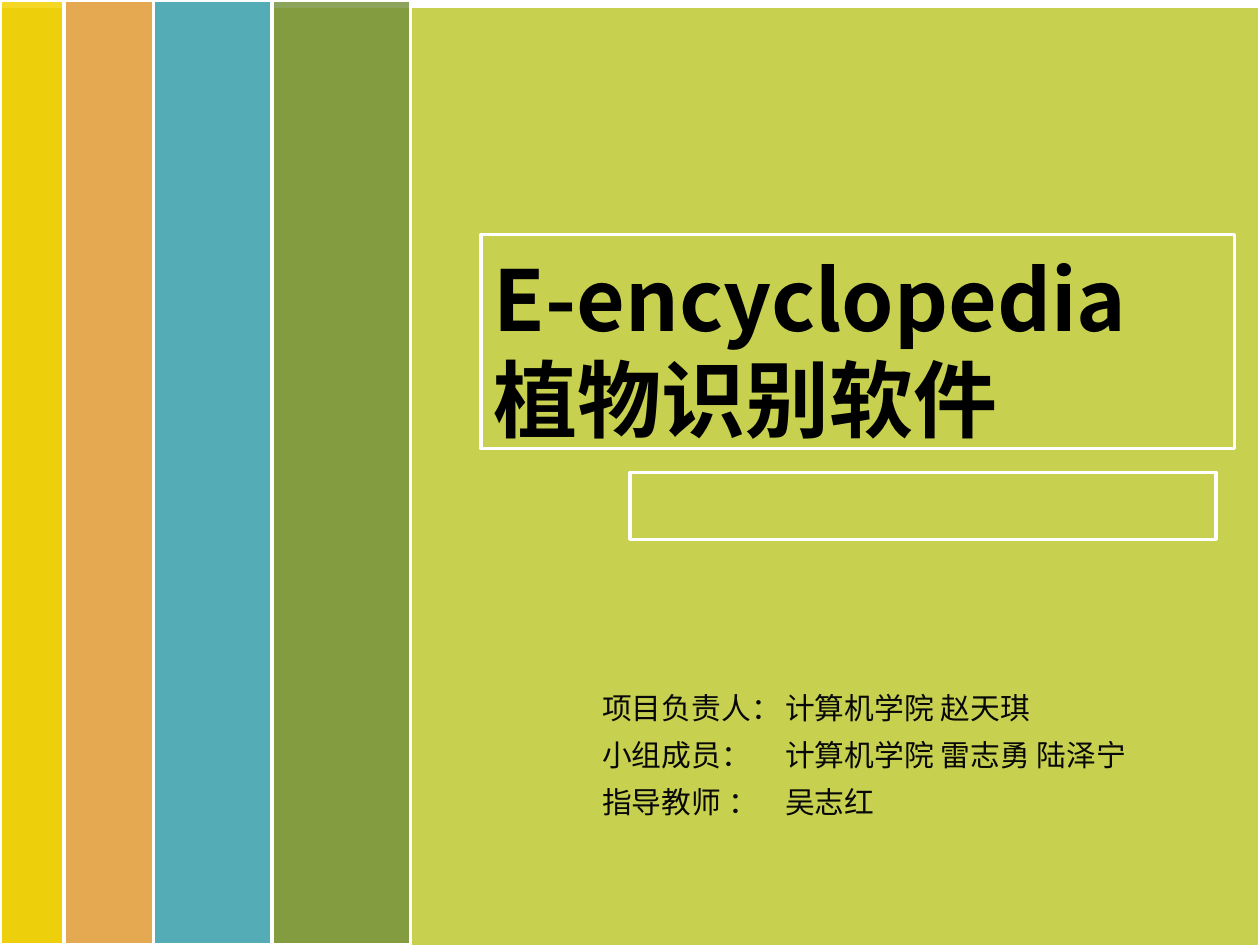
"""Build the cover slide of a plant recognition software project."""

from lxml.etree import SubElement
from pptx import Presentation
from pptx.dml.color import RGBColor
from pptx.enum.shapes import MSO_SHAPE
from pptx.enum.text import MSO_ANCHOR, MSO_AUTO_SIZE, PP_ALIGN
from pptx.oxml.ns import qn
from pptx.util import Pt

WHITE = RGBColor(0xFF, 0xFF, 0xFF)
BLACK = RGBColor(0x00, 0x00, 0x00)
INK = RGBColor(0x08, 0x08, 0x08)
LIME = RGBColor(0xC1, 0xCC, 0x3A)
YELLOW = RGBColor(0xF4, 0xD0, 0x00)
ORANGE = RGBColor(0xE5, 0xA9, 0x51)
TEAL = RGBColor(0x54, 0xAD, 0xB6)
OLIVE = RGBColor(0x77, 0x93, 0x3C)

SLIDE_WIDTH, SLIDE_HEIGHT = 720, 540
STRIPES = [(36.72, YELLOW, 85), (51.12, ORANGE, 100), (67.68, TEAL, 100), (79.2, OLIVE, 84)]
CREDITS = [
    ("项目负责人：", "计算机学院 赵天琪"),
    ("小组成员：", "计算机学院 雷志勇 陆泽宁"),
    ("指导教师 ：", "吴志红"),
]


def outline(element):
    """Give an element the white border shared by the whole slide."""
    element.line.color.rgb = WHITE
    element.line.width = Pt(2)


def add_panel(slide, left, top, width, height, color=None, opacity=100):
    """Add a bordered rectangle, hollow when it has no color."""
    panel = slide.shapes.add_shape(
        MSO_SHAPE.RECTANGLE, Pt(left), Pt(top), Pt(width), Pt(height)
    )
    panel.shadow.inherit = False
    outline(panel)
    if color is None:
        panel.fill.background()
        return
    panel.fill.solid()
    panel.fill.fore_color.rgb = color
    if opacity < 100:
        tint = panel.element.spPr.find(qn("a:solidFill"))[0]
        SubElement(tint, qn("a:alpha"), val=str(opacity * 1000))


def add_stripes(slide):
    """Stand the colored stripes side by side from the left edge."""
    left = 0
    for width, color, opacity in STRIPES:
        add_panel(slide, left, 0, width, SLIDE_HEIGHT, color, opacity)
        left += width


def add_run(paragraph, text, font_name, size, color, bold=False):
    """Append one formatted run."""
    run = paragraph.add_run()
    run.text = text
    run.font.name = font_name
    run.font.size = Pt(size)
    run.font.color.rgb = color
    run.font.bold = bold
    return run


def place_title(slide, text):
    """Frame the title and bring it in front of the panels."""
    title = slide.shapes.title
    title.left, title.top, title.width, title.height = Pt(275), Pt(134), Pt(430.5), Pt(122.4)
    outline(title)
    frame = title.text_frame
    frame.word_wrap = True
    frame.auto_size = MSO_AUTO_SIZE.NONE
    frame.vertical_anchor = MSO_ANCHOR.TOP
    frame.margin_left, frame.margin_right = Pt(7.2), Pt(10)
    frame.margin_top, frame.margin_bottom = Pt(8), Pt(0)
    paragraph = frame.paragraphs[0]
    paragraph.alignment = PP_ALIGN.LEFT
    paragraph.line_spacing = Pt(57)
    run = add_run(paragraph, text, "Noto Sans CJK SC", 48, BLACK, bold=True)
    SubElement(run.font._element, qn("a:ea"), typeface="Noto Sans CJK SC")
    slide.shapes.element.append(title.element)


def add_credits(slide):
    """List each role with its people aligned at a tab stop."""
    box = slide.shapes.add_textbox(Pt(337), Pt(394.5), Pt(495), Pt(98))
    frame = box.text_frame
    frame.word_wrap = True
    for index, (role, people) in enumerate(CREDITS):
        paragraph = frame.add_paragraph() if index else frame.paragraphs[0]
        paragraph.line_spacing = 0.8
        if index:
            paragraph.space_before = Pt(10.6)
        tabs = SubElement(paragraph._p.get_or_add_pPr(), qn("a:tabLst"))
        SubElement(tabs, qn("a:tab"), pos=str(Pt(104.5)), algn="l")
        add_run(paragraph, f"{role}\t{people}", "Calibri", 17, INK)


def main():
    """Assemble and save the cover."""
    presentation = Presentation()
    presentation.slide_width = Pt(SLIDE_WIDTH)
    presentation.slide_height = Pt(SLIDE_HEIGHT)
    slide = presentation.slides.add_slide(presentation.slide_layouts[5])
    add_panel(slide, 0, 3.6, SLIDE_WIDTH, SLIDE_HEIGHT, LIME, 89)
    add_stripes(slide)
    place_title(slide, "E-encyclopedia 植物识别软件")
    add_panel(slide, 360, 270, 334.8, 38.2)
    add_credits(slide)
    presentation.save("out.pptx")


if __name__ == "__main__":
    main()
